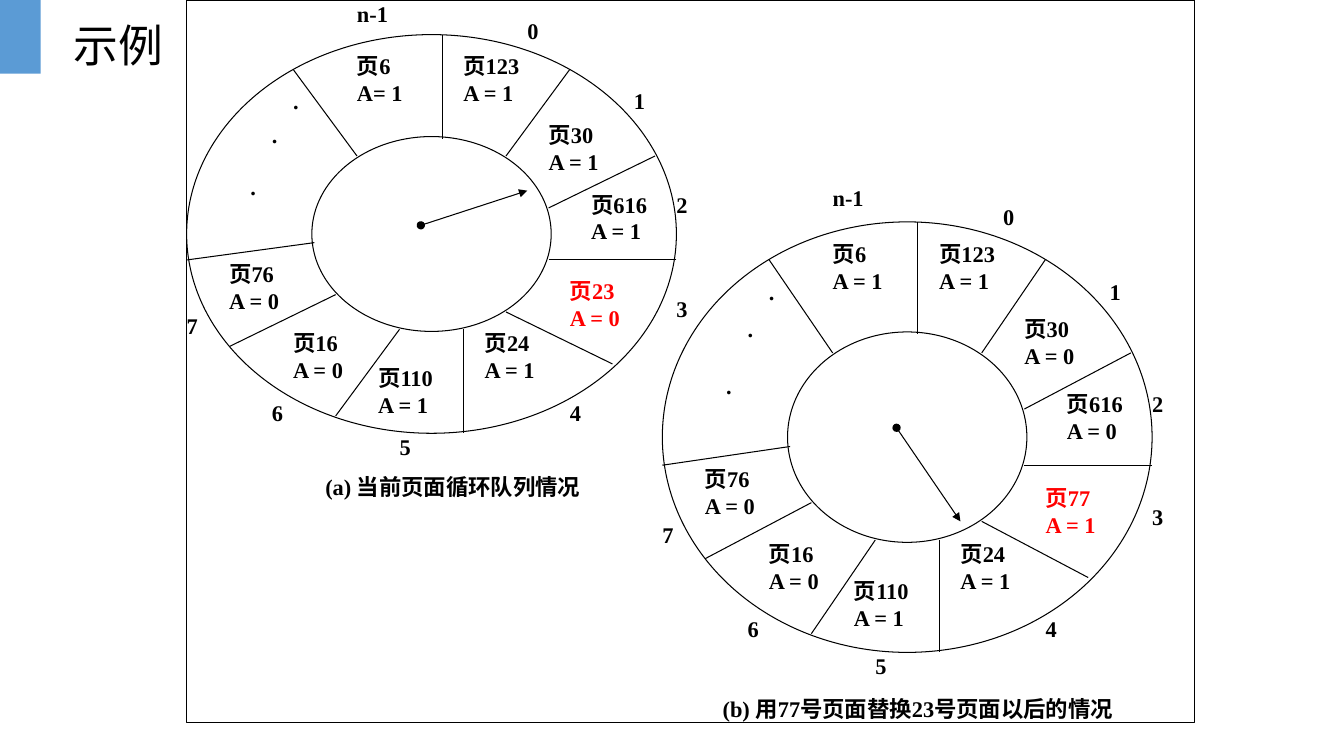
from lxml import etree
from pptx import Presentation, util as u
from pptx.dml.color import RGBColor
from pptx.enum import shapes, text
from pptx.oxml import ns

COLORS = {"ink": "000000", "changed": "FF0000", "accent": "5B9BD5"}
COLUMN = 15.21  # width of one grid column

# Ring geometry in grid units (column, row)
SPOKES = [
    (12, 2, 12, 8), (13, 19, 13, 25), (18, 4, 15, 9), (10, 19, 7, 24),
    (5, 4, 8, 9), (22, 9, 17, 12), (23, 15, 17, 15), (20, 21, 15, 18),
    (7, 17, 2, 20), (6, 14, 0, 15),
]
FRAMES = [(8, 3), (13, 3), (17, 7), (19, 11), (18, 16), (14, 19), (9, 21), (5, 19), (2, 15)]
DOTS = [(5, 5), (4, 7), (3, 10)]
NUMBERS = [(16, 1), (21, 5), (23, 11), (23, 17), (18, 23), (10, 25), (4, 23), (0, 18)]
CHANGED_FRAME = 4

RINGS = [
    {
        "left": 473.1, "top": 131.76, "row": 13.37, "hand": (11, 13, 14, 18),
        "pages": [6, 123, 30, 616, 77, 24, 110, 16, 76],
        "bits": ["A = 1", "A = 1", "A = 0", "A = 0", "A = 1", "A = 1", "A = 1", "A = 0", "A = 0"],
        "caption": ("(b) 用77号页面替换23号页面以后的情况", -3, 30),
    },
    {
        "left": 133.3, "top": 0, "row": 12.38, "hand": (11, 13, 16, 11),
        "pages": [6, 123, 30, 616, 23, 24, 110, 16, 76],
        "bits": ["A= 1", "A = 1", "A = 1", "A = 1", "A = 0", "A = 1", "A = 1", "A = 0", "A = 0"],
        "caption": ("(a) 当前页面循环队列情况", 1, 23),
    },
]


class Slide:
    font, size, line = "Times New Roman", 16, 0.75

    def __init__(self, page):
        self.page = page
        self.target = page.shapes

    def start_group(self):
        self.target = self.page.shapes.add_group_shape().shapes

    def color(self, name):
        return RGBColor.from_string(COLORS[name])

    def span(self, para, words, color="ink", font=None, size=None, bold=True):
        span = para.add_run()
        span.text = words
        span.font.name = font or self.font
        span.font.size = u.Pt(size or self.size)
        span.font.bold = bold
        span.font.color.rgb = self.color(color)

    def title(self, words, x, y, w, h):
        box = self.page.shapes.title
        box.left, box.top, box.width, box.height = map(u.Pt, (x, y, w, h))
        frame = box.text_frame
        frame.auto_size = text.MSO_AUTO_SIZE.NONE
        frame.vertical_anchor = text.MSO_ANCHOR.MIDDLE
        para = frame.paragraphs[0]
        para.alignment = text.PP_ALIGN.LEFT
        para.line_spacing = 1.3
        self.span(para, words, font="Calibri", size=32, bold=False)

    def shape(self, kind, x, y, w, h, fill=None):
        shape = self.target.add_shape(kind, *map(u.Pt, (x, y, w, h)))
        shape.shadow.inherit = False
        if fill:
            shape.fill.solid()
            shape.fill.fore_color.rgb = self.color(fill)
            shape.line.fill.background()
        else:
            shape.fill.background()
            shape.line.color.rgb = self.color("ink")
            shape.line.width = u.Pt(self.line)

    def text(self, lines, x, y, w, h, color="ink", caption=False):
        box = self.target.add_textbox(*map(u.Pt, (x, y, w, h)))
        frame = box.text_frame
        frame.word_wrap = True
        if not caption:
            frame.margin_left = frame.margin_right = 0
            frame.margin_top = frame.margin_bottom = 0
        for i, words in enumerate(lines):
            para = frame.add_paragraph() if i else frame.paragraphs[0]
            para.alignment = text.PP_ALIGN.CENTER if caption else text.PP_ALIGN.JUSTIFY
            self.span(para, words, color)

    def connector(self, x1, y1, x2, y2, hand=False):
        line = self.target.add_connector(
            shapes.MSO_CONNECTOR.STRAIGHT, *map(u.Pt, (x1, y1, x2, y2)))
        line.line.color.rgb = self.color("ink")
        line.line.width = u.Pt(self.line)
        if hand:
            outline = line.line._get_or_add_ln()
            etree.SubElement(outline, ns.qn("a:headEnd"), type="oval")
            etree.SubElement(outline, ns.qn("a:tailEnd"), type="triangle")
        etree.SubElement(line._element.spPr, ns.qn("a:effectLst"))


def draw_ring(slide, ring):
    def place(column, row):
        return ring["left"] + column * COLUMN, ring["top"] + row * ring["row"]

    def area(column, row, columns, rows):
        return *place(column, row), columns * COLUMN, rows * ring["row"]

    slide.start_group()
    # Outer and inner circles
    for inset in (0, 5.88):
        side = 23 - 2 * inset
        slide.shape(shapes.MSO_SHAPE.OVAL, *area(inset, 2 + inset, side, side))
    # Dividers and pointer
    for x1, y1, x2, y2 in SPOKES:
        slide.connector(*place(x1, y1), *place(x2, y2))
    x1, y1, x2, y2 = ring["hand"]
    slide.connector(*place(x1, y1), *place(x2, y2), hand=True)
    # Page frames
    for i, (spot, number, bit) in enumerate(zip(FRAMES, ring["pages"], ring["bits"])):
        color = "changed" if i == CHANGED_FRAME else "ink"
        columns = 4 if number > 99 else 3
        slide.text([f"页{number}", bit], *area(*spot, columns, 4), color)
    for spot in DOTS:
        slide.text(["."], *area(*spot, 2, 3))
    # Frame numbers around the ring
    for i, spot in enumerate(NUMBERS):
        slide.text([str(i)], *area(*spot, 1, 2))
    slide.text(["n-1"], *area(8, 0, 3, 2))
    # Caption
    words, column, columns = ring["caption"]
    slide.text([words], *area(column, 27, columns, 3.55), caption=True)


def main():
    deck = Presentation()
    deck.slide_width, deck.slide_height = u.Pt(960), u.Pt(540)
    slide = Slide(deck.slides.add_slide(deck.slide_layouts[5]))

    # Title, accent block and border
    slide.title("示例", 45.4, 0, 409.7, 52.6)
    slide.shape(shapes.MSO_SHAPE.RECTANGLE, 0, 0, 29, 52.6, fill="accent")
    slide.shape(shapes.MSO_SHAPE.RECTANGLE, 133.3, 0, 720, 516)

    for ring in RINGS:
        draw_ring(slide, ring)
    deck.save("out.pptx")


if __name__ == "__main__":
    main()
